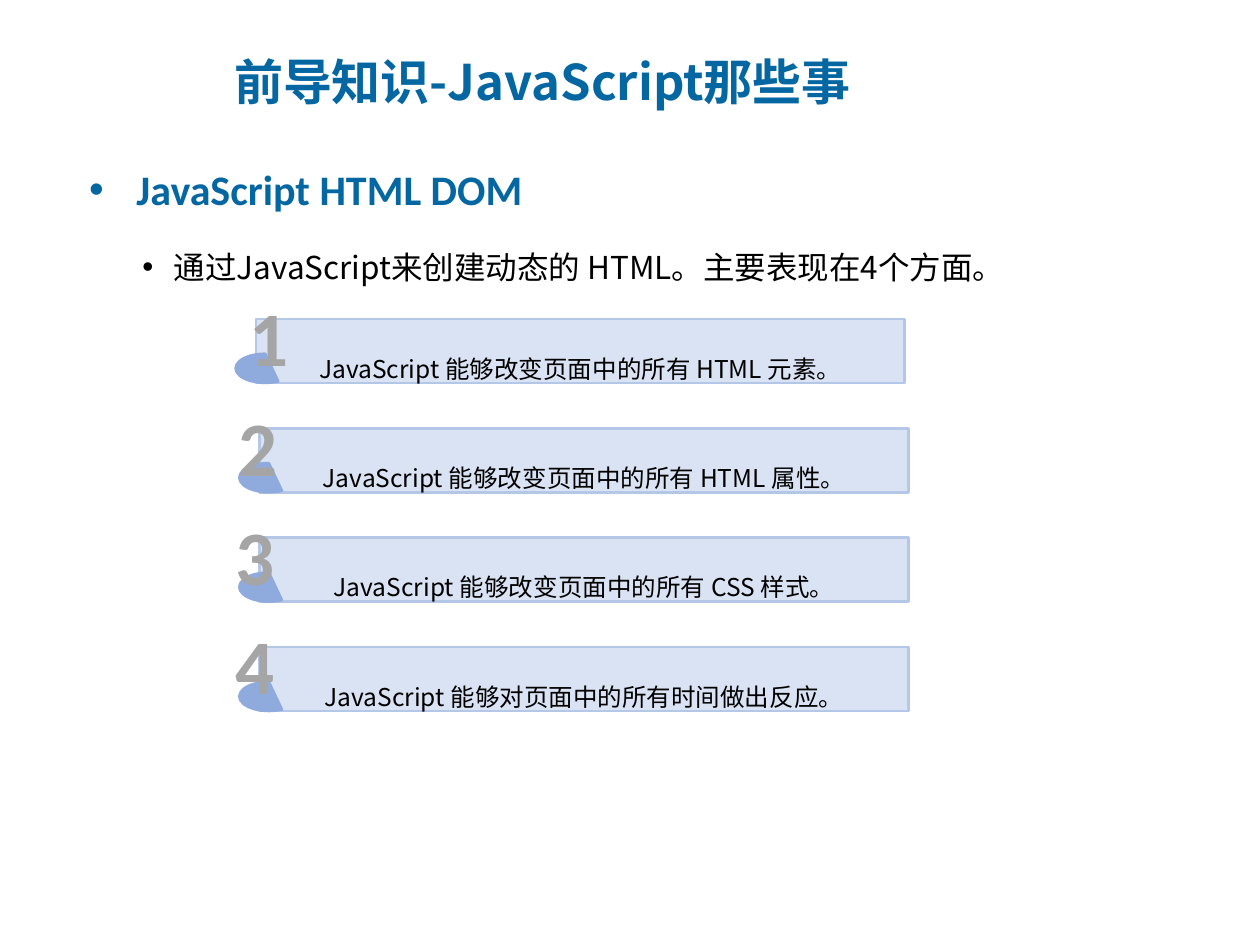
from pptx import Presentation
from pptx.dml.color import RGBColor
from pptx.enum import shapes, text
from pptx.oxml.ns import qn
from pptx.util import Pt

CJK, LATIN = "Noto Sans CJK SC", "Calibri"
BLUE, BLACK, GREY = "0567A2", "000000", "A5A5A5"
BAR_FILL, BAR_LINE, CHORD = "DAE3F3", "B4C7E7", "8FAADC"

TITLE = "前导知识-JavaScript那些事"
HEADING = "JavaScript HTML DOM"
INTRO = "通过JavaScript来创建动态的 HTML。主要表现在4个方面。"
ASPECTS = [
    ("JavaScript 能够改变页面中的所有 HTML 元素。", 146.2, 134),
    ("JavaScript 能够改变页面中的所有 HTML 属性。", 148.3, 127.4),
    ("JavaScript 能够改变页面中的所有 CSS 样式。", 148.3, 126),
    ("JavaScript 能够对页面中的所有时间做出反应。", 148.3, 126),
]
FIRST_TOP, PITCH = 182.2, 62.5


def color(code):
    return RGBColor.from_string(code)


def write(box, words, size, font, code, bold=False):
    frame = box.text_frame
    frame.text = words
    para = frame.paragraphs[0]
    for span in para.runs:
        span.font.size = Pt(size)
        span.font.name = font
        span.font.bold = bold
        span.font.color.rgb = color(code)
        east = span.font._element.makeelement(qn("a:ea"), {"typeface": font})
        span.font._element.append(east)
    return para


def add_text(page, place, *style, wrap=True, **options):
    box = page.shapes.add_textbox(*map(Pt, place))
    box.text_frame.word_wrap = wrap
    return box, write(box, *style, **options)


def add_bullet(para, left, hanging, before):
    para.line_spacing = 1.5
    para.space_before = Pt(before)
    props = para._p.get_or_add_pPr()
    props.set("marL", str(Pt(left)))
    props.set("indent", str(-Pt(hanging)))
    for tag, attrs in (("a:buFont", {"typeface": "Arial"}), ("a:buChar", {"char": "•"})):
        props.append(props.makeelement(qn(tag), attrs))


def add_shape(page, kind, place, fill, line):
    shape = page.shapes.add_shape(kind, *map(Pt, place))
    shape.shadow.inherit = False
    shape.fill.solid()
    shape.fill.fore_color.rgb = color(fill)
    shape.line.color.rgb = color(line)
    shape.line.width = Pt(1.5)
    return shape


def add_aspect(page, number, words, left, number_left):
    top = FIRST_TOP + (number - 1) * PITCH
    bar = add_shape(page, shapes.MSO_SHAPE.RECTANGLE, (left, top, 370.8, 36.7), BAR_FILL, BAR_LINE)
    frame = bar.text_frame
    frame.word_wrap = True
    frame.vertical_anchor = text.MSO_ANCHOR.BOTTOM
    frame.margin_top = frame.margin_bottom = 0
    write(bar, words, 14, CJK, BLACK).alignment = text.PP_ALIGN.CENTER
    add_shape(page, shapes.MSO_SHAPE.CHORD, (left - 11.5, top + 20, 33.8, 16.6), CHORD, CHORD)
    box, para = add_text(page, (number_left, top - 20.2, 39.6, 60.5),
                         str(number), 44, LATIN, GREY, bold=True, wrap=False)
    para.alignment = text.PP_ALIGN.CENTER


def main():
    deck = Presentation()
    deck.slide_width, deck.slide_height = Pt(720), Pt(540)
    page = deck.slides.add_slide(deck.slide_layouts[6])

    box, para = add_text(page, (38.2, 127.4, 627.8, 40.3), INTRO, 18, CJK, BLACK)
    add_bullet(para, 54, 18, 5)
    box, para = add_text(page, (43.9, 75.6, 264.2, 46), HEADING, 24, LATIN, BLUE, bold=True, wrap=False)
    add_bullet(para, 27, 27, 4.8)

    for number, aspect in enumerate(ASPECTS, 1):
        add_aspect(page, number, *aspect)

    box, para = add_text(page, (126.7, 15.8, 596.2, 60.5), TITLE, 28, CJK, BLUE, bold=True)
    box.text_frame.vertical_anchor = text.MSO_ANCHOR.MIDDLE

    deck.save("out.pptx")


if __name__ == "__main__":
    main()
